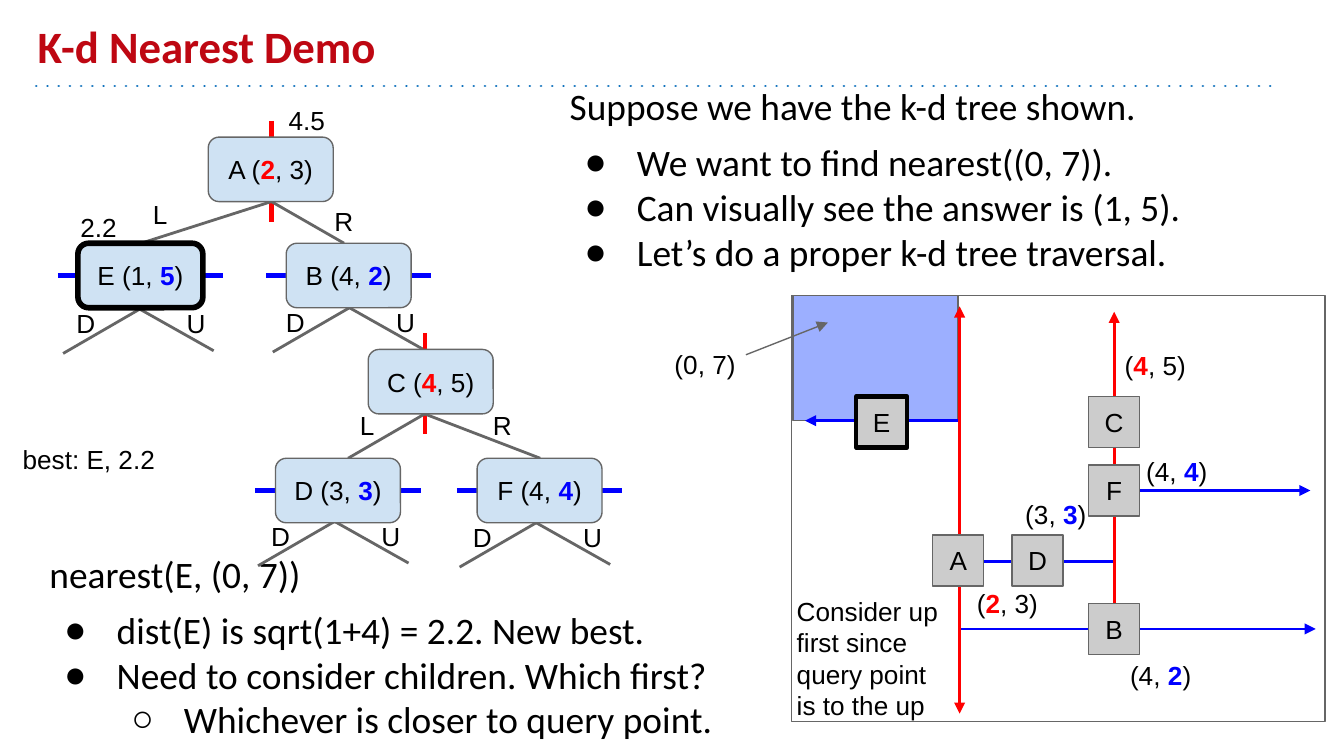
from lxml.etree import SubElement
from pptx import Presentation
from pptx.dml.color import RGBColor as Rgb
from pptx.enum.shapes import MSO_CONNECTOR as Connector, MSO_SHAPE as Shape
from pptx.enum.text import MSO_ANCHOR as Anchor, PP_ALIGN as Align
from pptx.oxml.ns import qn
from pptx.util import Pt

PX = 9144
COLORS = {
    "title": "BE0712", "rule": "1072BD", "text": "000000", "gray": "666666",
    "red": "FF0000", "blue": "0000FF", "node": "CFE2F3", "point": "CCCCCC",
    "region": "0031FF",
}
RGB = {name: Rgb.from_string(value) for name, value in COLORS.items()}

deck = Presentation()
deck.slide_width = 1000 * PX
deck.slide_height = deck.slide_width * 9 // 16
page = deck.slides.add_slide(deck.slide_layouts[5])


def add_line(start, end, color, width, *ends):
    line = page.shapes.add_connector(
        Connector.STRAIGHT, *(value * PX for value in (*start, *end)))
    line.line.color.rgb = RGB[color]
    line.line.width = Pt(width)
    SubElement(line._element.spPr, qn("a:effectLst"))
    for end_name in ends:
        SubElement(line.line._get_or_add_ln(), qn(f"a:{end_name}"), type="triangle")
    return line


def add_box(left, top, width, height, text="", accent="text", kind=None,
            fill=None, border="gray", weight=0.75):
    bounds = [value * PX for value in (left, top, width, height)]
    if kind is None:
        box = page.shapes.add_textbox(*bounds)
    else:
        box = page.shapes.add_shape(kind, *bounds)
        box.shadow.inherit = False
        box.line.color.rgb = RGB[border]
        box.line.width = Pt(weight)
        if fill:
            box.fill.solid()
            box.fill.fore_color.rgb = RGB[fill]
        else:
            box.fill.background()
    frame = box.text_frame
    frame.word_wrap = True
    frame.margin_left = frame.margin_right = 10 * PX
    frame.margin_top = frame.margin_bottom = 10 * PX
    frame.vertical_anchor = Anchor.MIDDLE if kind else Anchor.TOP
    para = frame.paragraphs[0]
    para.alignment = Align.CENTER if kind else Align.LEFT
    para.font.name, para.font.size = "Arial", Pt(14)
    para.font.color.rgb = RGB["text"]
    for index, part in enumerate(text.split("|") if text else []):
        span = para.add_run()
        span.text = part
        if index == 1:
            span.font.bold = True
            span.font.color.rgb = RGB[accent]
    return box


title = page.shapes.title
title.left, title.top, title.width, title.height = (
    value * PX for value in (18, 10, 900, 54))
frame = title.text_frame
frame.text = "K-d Nearest Demo"
frame.word_wrap = True
frame.vertical_anchor = Anchor.BOTTOM
frame.margin_left = frame.margin_right = 10 * PX
frame.margin_top = frame.margin_bottom = 10 * PX
para = frame.paragraphs[0]
para.alignment = Align.LEFT
para.font.name, para.font.size, para.font.bold = "Calibri", Pt(24), True
para.font.color.rgb = RGB["title"]

rule = add_line((27, 64), (950, 64), "rule", 1.5)
rule_props = rule.line._get_or_add_ln()
rule_props.set("cap", "rnd")
SubElement(rule_props, qn("a:prstDash"), val="dot")

passages = [
    ((414, 52, 537, 136), [
        (0, "Suppose we have the k-d tree shown."),
        (1, "We want to find nearest((0, 7))."),
        (1, "Can visually see the answer is (1, 5)."),
        (1, "Let’s do a proper k-d tree traversal."),
    ]),
    ((27, 400, 923, 136), [
        (0, "nearest(E, (0, 7))"),
        (1, "dist(E) is sqrt(1+4) = 2.2. New best."),
        (1, "Need to consider children. Which first?"),
        (2, "Whichever is closer to query point."),
    ]),
]
for bounds, rows in passages:
    frame = add_box(*bounds).text_frame
    for index, (level, text) in enumerate(rows):
        para = frame.paragraphs[0] if index == 0 else frame.add_paragraph()
        para.text = text
        para.space_before = Pt(6 if index < 2 else 0)
        if level:
            para.level = level - 1
            props = para._p.get_or_add_pPr()
            props.set("marL", str(level * 50 * PX))
            props.set("indent", str(-39 * PX))
            bullet_color = SubElement(props, qn("a:buClr"))
            SubElement(bullet_color, qn("a:srgbClr"), val=COLORS["text"])
            SubElement(props, qn("a:buFont"), typeface="Arial")
            SubElement(props, qn("a:buChar"), char="●" if level == 1 else "○")
        para.font.name, para.font.size = "Calibri", Pt(20)
        para.font.color.rgb = RGB["text"]

down_up = [("D", (-57, 33), (-57, -11)), ("U", (55, 31), (25, -11))]
root_split = [("L", (-97, 31), (-98, -12)), ("R", (54, 31), (37, -7))]
lower_split = [("L", (-57, 33), (-58, -13)), ("R", (86, 33), (41, -13))]
nodes = [
    ("A (|2|, 3)", "red", 155, 102, 202, 150, root_split),
    ("B (4, |2|)", "blue", 213, 181, 260, 229, down_up),
    ("C (|4|, 5)", "red", 274, 260, 316, 308, lower_split),
    ("D (3, |3|)", "blue", 205, 341, 249, 388, down_up),
    ("E (1, |5|)", "blue", 58, 181, 104, 230, down_up),
    ("F (4, |4|)", "blue", 355, 341, 399, 389, down_up),
]
for text, accent, left, top, center, bottom, branches in nodes:
    if accent == "red":
        add_line((center, top - 12), (center, top + 63), accent, 2.25)
    else:
        add_line((left - 15, top + 24), (left + 108, top + 24), accent, 2.25)
    for label, (run, drop), (label_x, label_y) in branches:
        add_line((center, bottom), (center + run, bottom + drop), "gray", 1.5)
        add_box(center + label_x, bottom + label_y, 57, 33, label)
    best = text.startswith("E")
    add_box(left, top, 93, 48, text, accent, Shape.ROUNDED_RECTANGLE, "node",
            "text" if best else "gray", 3 if best else 0.75)

region = add_box(590, 220, 123, 93, kind=Shape.RECTANGLE, fill="region")
region_color = region.fill._xPr.find(qn("a:solidFill"))[0]
SubElement(region_color, qn("a:alpha"), val="39000")
add_box(589, 220, 397, 317, kind=Shape.RECTANGLE)

add_line((975, 365), (830, 365), "blue", 1.5, "headEnd")
add_line((599, 313), (714, 313), "blue", 1.5, "headEnd")
add_line((830, 418), (710, 418), "blue", 1.5)
add_line((979, 468), (714, 468), "blue", 1.5, "headEnd")
add_line((714, 228), (714, 531), "red", 1.5, "headEnd", "tailEnd")
add_line((829, 232), (829, 449), "red", 1.5, "headEnd")
add_line((555, 264), (616, 240), "gray", 0.75, "tailEnd")

points = [("A", 694, 398), ("B", 810, 449), ("C", 810, 295),
          ("D", 753, 398), ("E", 637, 295), ("F", 810, 346)]
for name, left, top in points:
    best = name == "E"
    add_box(left, top, 38, 38, name, kind=Shape.RECTANGLE, fill="point",
            border="text" if best else "gray", weight=2.25 if best else 0.75)

labels = [
    ("(|2|, 3)", "red", 717, 427, 79, 31),
    ("(4, |2|)", "blue", 831, 481, 79, 31),
    ("(|4|, 5)", "red", 827, 250, 79, 31),
    ("(3, |3|)", "blue", 753, 361, 79, 31),
    ("(4, |4|)", "blue", 843, 329, 79, 31),
    ("(0, 7)", "text", 492, 249, 79, 24),
    ("4.5", "text", 205, 68, 70, 24),
    ("2.2", "text", 50, 147, 70, 24),
    ("best: E, 2.2", "text", 7, 320, 134, 75),
    ("Consider up first since query point is to the up", "text", 583, 433, 134, 114),
]
for text, accent, *bounds in labels:
    add_box(*bounds, text, accent)

deck.save("out.pptx")
